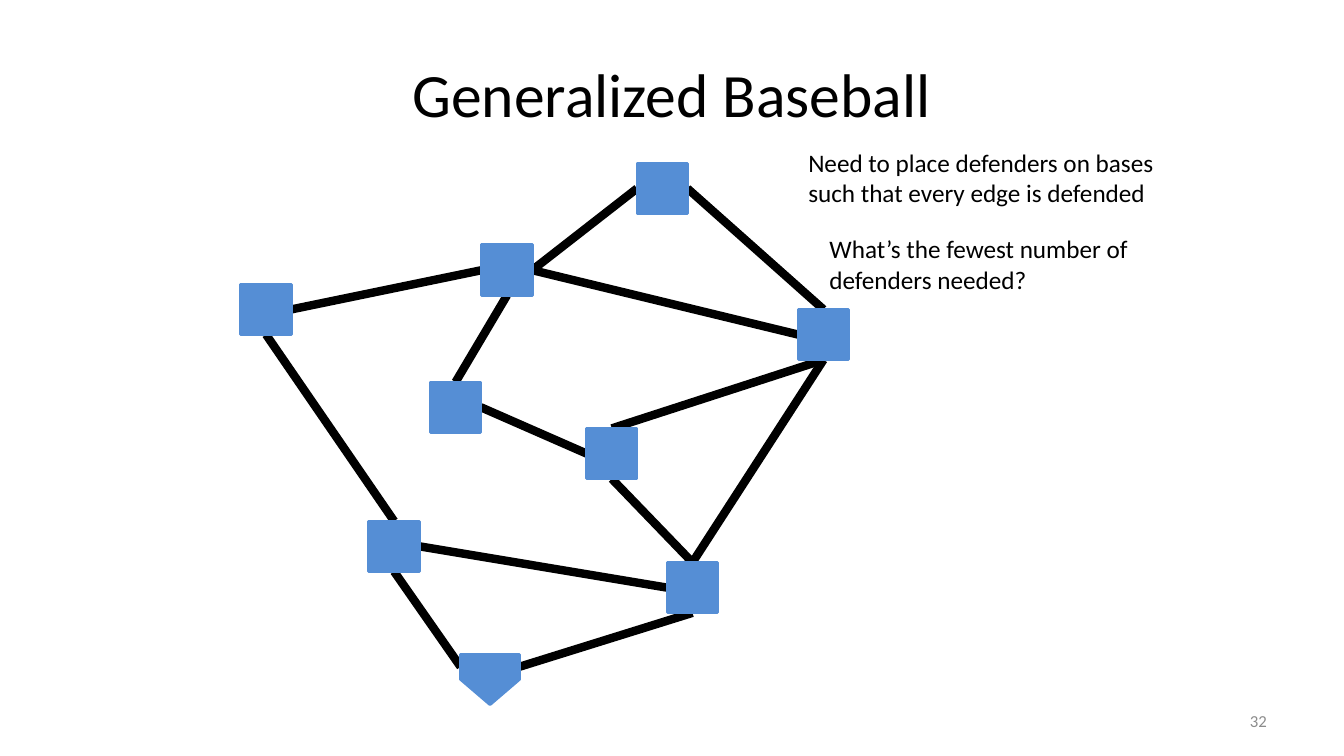
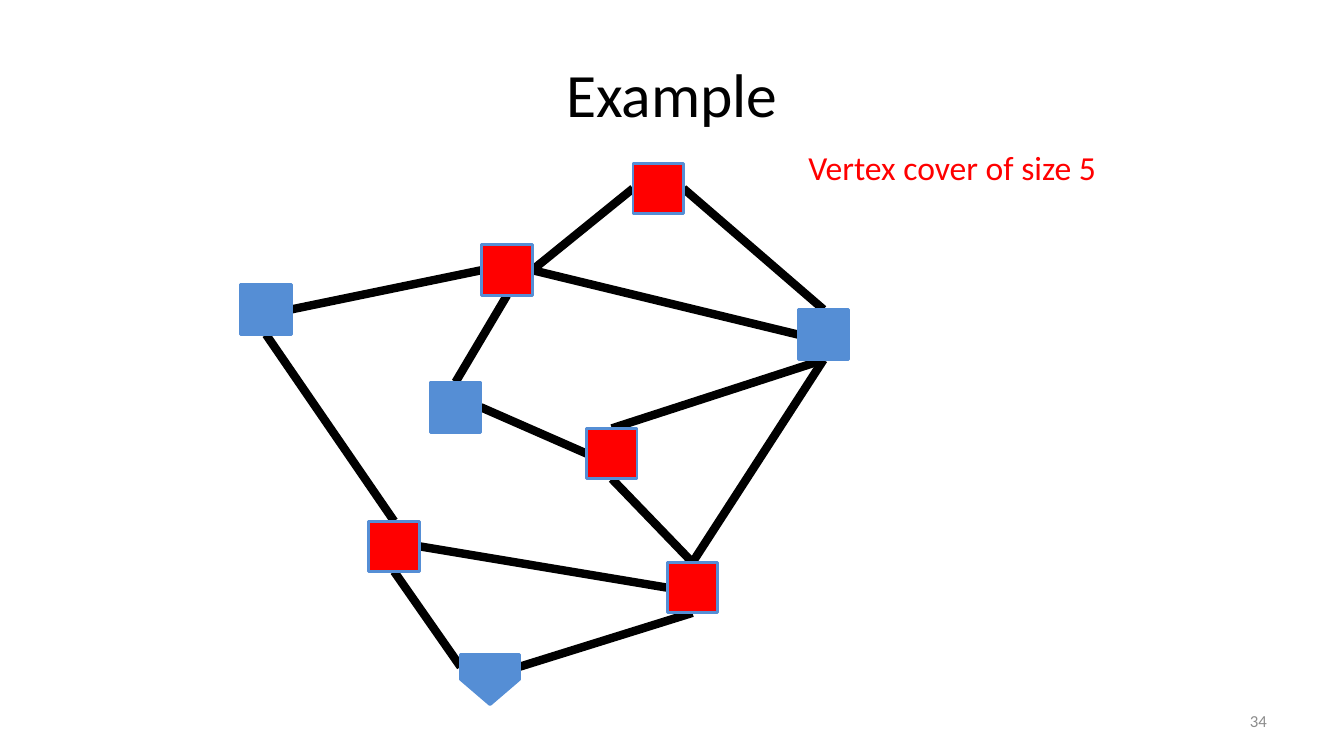
"""Build two slides that show vertex cover as a baseball field of bases and edges."""
import dataclasses

import pptx
import pptx.dml.color
import pptx.enum.shapes
import pptx.enum.text
import pptx.oxml.ns
import pptx.util
from lxml import etree


@dataclasses.dataclass(frozen=True)
class Theme:
    font: str = "Calibri"
    ink: str = "000000"
    base: str = "558ED5"
    accent: str = "FF0000"
    muted: str = "8C8C8C"
    title: int = 44
    callout: int = 24
    body: int = 18
    footer: int = 12
    edge: int = 6
    outline: int = 2


THEME = Theme()
COLUMNS, ROWS = 160, 90
CELL = pptx.util.Inches(7.5) // ROWS
BASE_SIZE = 6
PLATE_WIDTH, PLATE_HEIGHT = 7, 3
TOP, LEFT, BOTTOM, RIGHT = range(4)
SHAPES = pptx.enum.shapes.MSO_SHAPE
ALIGN = pptx.enum.text.PP_ALIGN
ANCHOR = pptx.enum.text.MSO_ANCHOR
FIT = pptx.enum.text.MSO_AUTO_SIZE

BASES = {
    "west": (43.92, 62.04),
    "south": (79.44, 66.96),
    "east": (95.04, 36.84),
    "inner": (51.24, 45.48),
    "far west": (28.68, 33.84),
    "north": (57.36, 29.16),
    "center": (69.84, 51),
    "top": (75.84, 19.44),
}
PLATE = (54.84, 77.88)
EDGES = [
    ("plate", RIGHT, "south", BOTTOM),
    ("west", BOTTOM, "plate", LEFT),
    ("south", LEFT, "west", RIGHT),
    ("far west", BOTTOM, "west", TOP),
    ("far west", RIGHT, "north", LEFT),
    ("north", RIGHT, "east", LEFT),
    ("north", BOTTOM, "inner", TOP),
    ("inner", RIGHT, "center", LEFT),
    ("east", BOTTOM, "center", TOP),
    ("north", RIGHT, "top", LEFT),
    ("east", TOP, "top", RIGHT),
    ("south", TOP, "center", BOTTOM),
    ("south", TOP, "east", BOTTOM),
]
NOTE = {"width": 45, "height": 8.5, "fit": FIT.SHAPE_TO_FIT_TEXT}
PAGES = [
    {
        "title": "Generalized Baseball",
        "number": "32",
        "cover": (),
        "moved": {},
        "notes": [
            ("Need to place defenders on bases such that every edge is defended",
             {"column": 95.04, "row": 16.92}),
            ("What’s the fewest number of defenders needed?",
             {"column": 97.56, "row": 27.24}),
        ],
    },
    {
        "title": "Example",
        "number": "34",
        "cover": ("west", "south", "north", "center", "top"),
        "moved": {"top": (75.36, 19.44)},
        "notes": [
            ("Vertex cover of size 5",
             {"column": 95.04, "row": 16.92, "height": 6,
              "size": THEME.callout, "color": THEME.accent}),
        ],
    },
]


def add_text(page, text, *, column, row, width, height, size=THEME.body,
             color=THEME.ink, align=ALIGN.LEFT, anchor=ANCHOR.TOP, fit=FIT.NONE):
    box = page.shapes.add_textbox(*(round(n * CELL) for n in (column, row, width, height)))
    frame = box.text_frame
    frame.word_wrap = True
    frame.auto_size = fit
    frame.vertical_anchor = anchor
    para = frame.paragraphs[0]
    para.alignment = align
    span = para.add_run()
    span.text = text
    span.font.name = THEME.font
    span.font.size = pptx.util.Pt(size)
    span.font.color.rgb = pptx.dml.color.RGBColor.from_string(color)


def add_block(page, kind, place, width, height, color):
    block = page.shapes.add_shape(kind, *(round(n * CELL) for n in (*place, width, height)))
    block.shadow.inherit = False
    block.fill.solid()
    block.fill.fore_color.rgb = pptx.dml.color.RGBColor.from_string(color)
    block.line.color.rgb = pptx.dml.color.RGBColor.from_string(THEME.base)
    block.line.width = pptx.util.Pt(THEME.outline)
    return block


deck = pptx.Presentation()
deck.slide_width = COLUMNS * CELL
deck.slide_height = ROWS * CELL

for content in PAGES:
    page = deck.slides.add_slide(deck.slide_layouts[6])
    add_text(page, content["title"], column=8, row=3.6, width=144, height=15,
             size=THEME.title, align=ALIGN.CENTER, anchor=ANCHOR.MIDDLE)
    add_text(page, content["number"], column=114.67, row=83.4, width=37.33, height=4.8,
             size=THEME.footer, color=THEME.muted, align=ALIGN.RIGHT, anchor=ANCHOR.MIDDLE)

    lines = []
    for edge in EDGES:
        line = page.shapes.add_connector(pptx.enum.shapes.MSO_CONNECTOR.STRAIGHT, 0, 0, 0, 0)
        line.line.color.rgb = pptx.dml.color.RGBColor.from_string(THEME.ink)
        line.line.width = pptx.util.Pt(THEME.edge)
        etree.SubElement(line._element.spPr, pptx.oxml.ns.qn("a:effectLst"))
        lines.append(line)

    tip = add_block(page, SHAPES.ISOSCELES_TRIANGLE, (PLATE[0], PLATE[1] + PLATE_HEIGHT),
                    PLATE_WIDTH, PLATE_HEIGHT, THEME.base)
    tip.rotation = 180
    blocks = {"plate": add_block(page, SHAPES.RECTANGLE, PLATE,
                                 PLATE_WIDTH, PLATE_HEIGHT, THEME.base)}
    for name, place in (BASES | content["moved"]).items():
        color = THEME.accent if name in content["cover"] else THEME.base
        blocks[name] = add_block(page, SHAPES.RECTANGLE, place, BASE_SIZE, BASE_SIZE, color)

    for line, (start, start_side, end, end_side) in zip(lines, EDGES):
        line.begin_connect(blocks[start], start_side)
        line.end_connect(blocks[end], end_side)

    for text, style in content["notes"]:
        add_text(page, text, **(NOTE | style))

deck.save("out.pptx")
